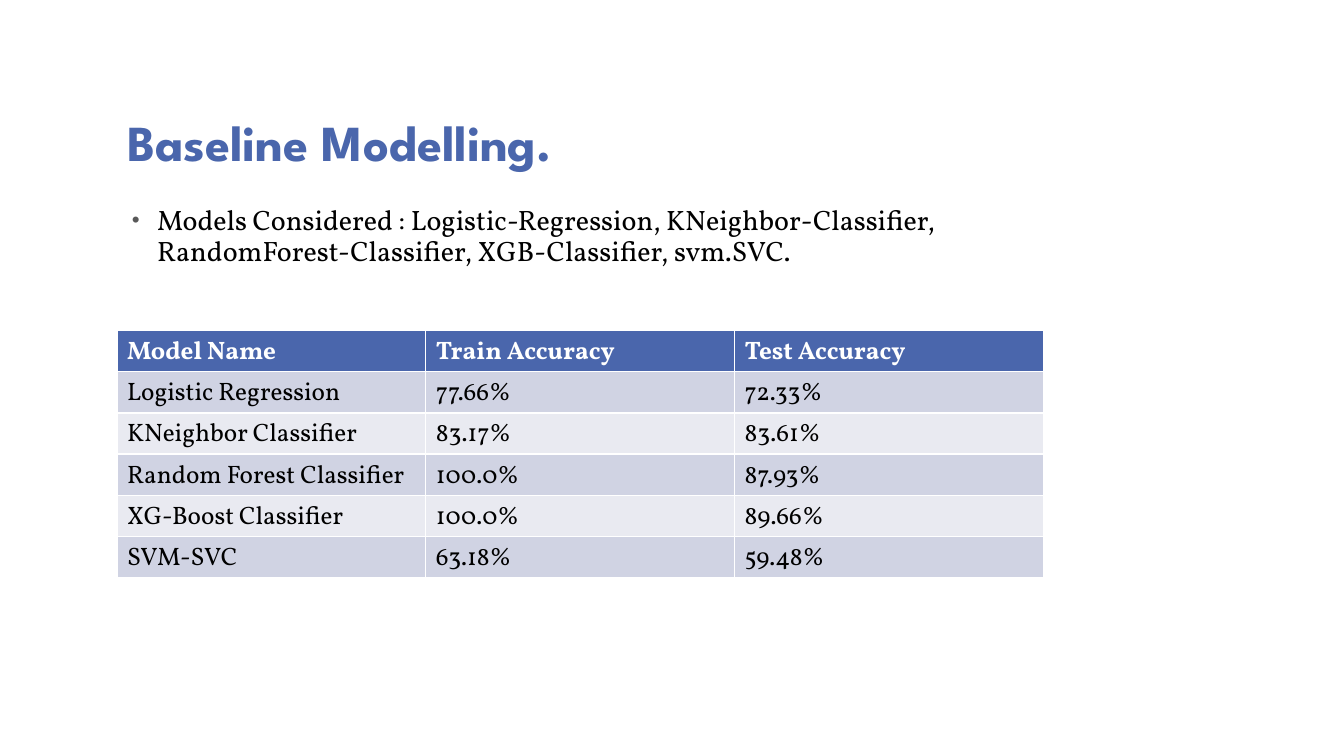
from lxml import etree
from pptx import Presentation
from pptx.dml.color import RGBColor
from pptx.enum.text import MSO_ANCHOR, PP_ALIGN
from pptx.oxml.ns import qn
from pptx.util import Inches, Pt

LEFT = PP_ALIGN.LEFT
TOP, BOTTOM = MSO_ANCHOR.TOP, MSO_ANCHOR.BOTTOM
BLUE = RGBColor(0x4A, 0x66, 0xAC)
DARK = RGBColor(0xD0, 0xD3, 0xE3)
LIGHT = RGBColor(0xE9, 0xEA, 0xF1)
WHITE = RGBColor(0xFF, 0xFF, 0xFF)
BLACK = RGBColor(0, 0, 0)

HEAD = {"name": "League Spartan", "size": Pt(36), "bold": True}
BODY = {"name": "Vollkorn", "size": Pt(20), "bold": False}
CELL = {"name": "Vollkorn", "size": Pt(18)}

ROWS = [
    ("Model Name", "Train Accuracy", "Test Accuracy"),
    ("Logistic Regression", "77.66%", "72.33%"),
    ("KNeighbor Classifier", "83.17%", "83.61%"),
    ("Random Forest Classifier", "100.0%", "87.93%"),
    ("XG-Boost Classifier", "100.0%", "89.66%"),
    ("SVM-SVC", "63.18%", "59.48%"),
]


def write(frame, text, color, form):
    """Fill a text frame with one formatted, left-aligned paragraph."""
    para = frame.paragraphs[0]
    para.alignment = LEFT
    run = para.add_run()
    run.text = text
    for key, value in form.items():
        setattr(run.font, key, value)
    run.font.color.rgb = color
    return para


prs = Presentation()
prs.slide_width, prs.slide_height = Inches(13.33), Inches(7.5)
slide = prs.slides.add_slide(prs.slide_layouts[5])

# Title
title = slide.shapes.title
title.left, title.top = Inches(1.16), Inches(0.58)
title.width, title.height = Inches(9.5), Inches(1.17)
title.text_frame.vertical_anchor = BOTTOM
para = write(title.text_frame, "Baseline Modelling.", BLUE, HEAD)
para.line_spacing = 0.8

# Bulleted list of models
box = slide.shapes.add_textbox(Inches(1.16), Inches(2), Inches(9.5), Inches(4.58))
box.text_frame.word_wrap = True
box.text_frame.vertical_anchor = TOP
para = write(
    box.text_frame,
    "Models Considered : Logistic-Regression, KNeighbor-Classifier, "
    "RandomForest-Classifier, XGB-Classifier, svm.SVC.",
    BLACK, BODY)
para.line_spacing = 0.9
para.space_before = Pt(18)
props = para._p.get_or_add_pPr()
props.set("marL", str(Inches(0.3)))
props.set("indent", str(Inches(-0.25)))
tint = etree.SubElement(props, qn("a:buClr"))
etree.SubElement(tint, qn("a:srgbClr"), val="595959")
etree.SubElement(props, qn("a:buSzPct"), val="80000")
etree.SubElement(props, qn("a:buFont"), typeface="Arial")
etree.SubElement(props, qn("a:buChar"), char="•")

# Accuracy table
table = slide.shapes.add_table(
    len(ROWS), len(ROWS[0]),
    Inches(1.16), Inches(3.28), Inches(9.19), Inches(2.45)).table
for r, row in enumerate(ROWS):
    first = r == 0
    fill = BLUE if first else DARK if r % 2 else LIGHT
    for c, text in enumerate(row):
        cell = table.cell(r, c)
        cell.fill.solid()
        cell.fill.fore_color.rgb = fill
        write(cell.text_frame, text, WHITE if first else BLACK,
              {**CELL, "bold": first})

prs.save("out.pptx")
